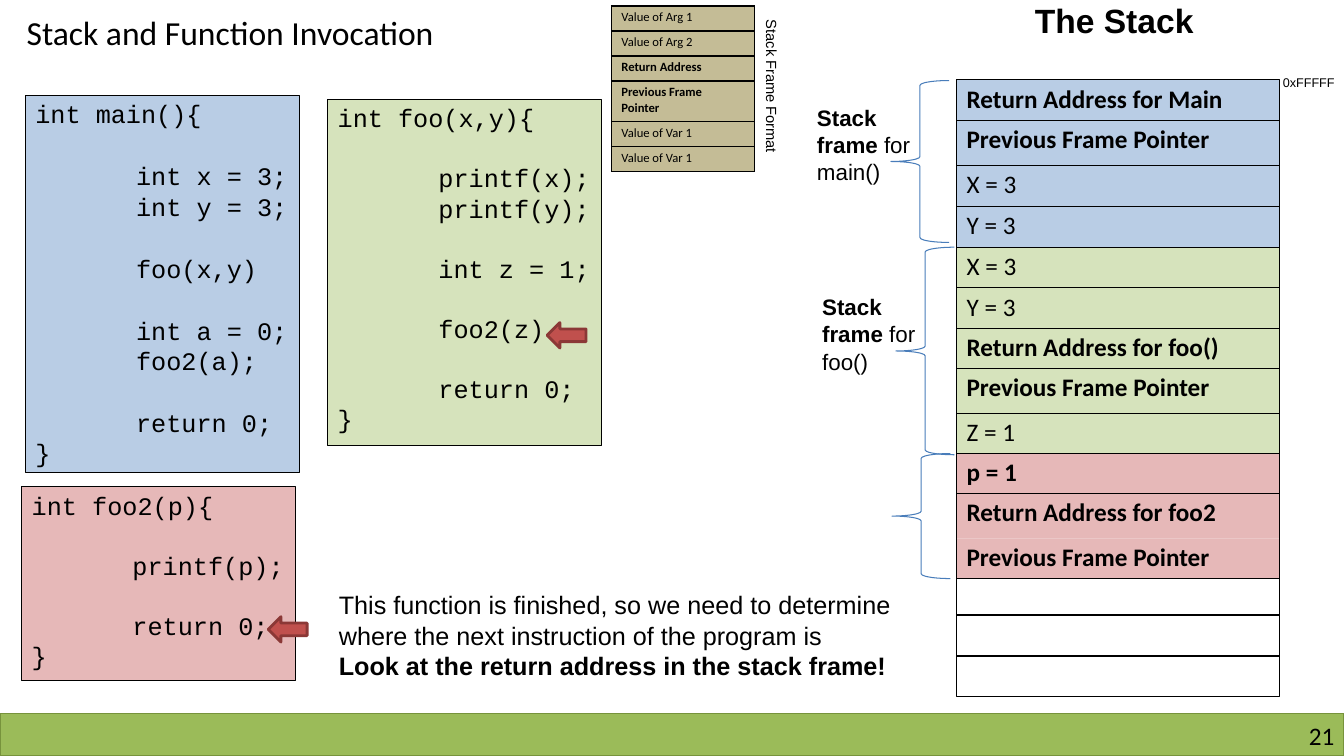
import pptx
import pptx.dml.color
import pptx.enum.shapes
import pptx.enum.text
import pptx.oxml
import pptx.oxml.ns
import pptx.util

Cm, Pt = pptx.util.Cm, pptx.util.Pt
SHAPES = pptx.enum.shapes.MSO_SHAPE
ALIGN = pptx.enum.text.PP_ALIGN
BLUE, GREEN, RED, TAN, BLACK = "B9CDE5", "D6E3BC", "E6B8B8", "C4BC96", "000000"

# Content: lengths in centimetres, sizes in points
TITLE = "Stack and Function Invocation"
# Blocks of code lines; the space between blocks is the gap
CODE_BOXES = [
    ((0.64, 2.41, 6.91, 9.5), BLUE, 22.9, "int main(){",
     [["int x = 3;", "int y = 3;"], ["foo(x,y)"], ["int a = 0;", "foo2(a);"], ["return 0;"]]),
    ((8.26, 2.51, 6.91, 8.73), GREEN, 21.5, "int foo(x,y){",
     [["printf(x);", "printf(y);"], ["int z = 1;"], ["foo2(z)"], ["return 0;"]]),
    ((0.55, 12.27, 6.91, 4.88), RED, 21.5, "int foo2(p){",
     [["printf(p);"], ["return 0;"]]),
]
ARROWS = [(13.79, 8.13), (6.76, 15.54)]
FRAME_FORMAT = [  # text, bold, row height
    ("Value of Arg 1", False, 0.63), ("Value of Arg 2", False, 0.63),
    ("Return Address", True, 0.63), ("Previous Frame Pointer", True, 1.02),
    ("Value of Var 1", False, 0.63), ("Value of Var 1", False, 0.63),
]
STACK_FRAMES = [  # colour, rows of (text, bold, height)
    (BLUE, [
        ("Return Address for Main", True, 1.02), ("Previous Frame Pointer", True, 1.14),
        ("X = 3", False, 1.03), ("Y = 3", False, 1.03)]),
    (GREEN, [
        ("X = 3", False, 1.02), ("Y = 3", False, 1.02),
        ("Return Address for foo()", True, 1.01), ("Previous Frame Pointer", True, 1.14),
        ("Z = 1", False, 1.0)]),
    (RED, [
        ("p = 1", True, 1.01), ("Return Address for foo2", True, 1.14),
        ("Previous Frame Pointer", True, 1.01)]),
    (None, [("", False, 0.92), ("", False, 1.03), ("", False, 1.03)]),
]
BRACES = [  # left, top, height, label
    (22.45, 2.03, 4.08, "main()"), (22.58, 6.23, 5.23, "foo()"), (22.48, 11.43, 3.15, None),
]
UNRULED_ROW = ("Return Address for foo2", True, 1.14)
STACK_LEFT, STACK_TOP, STACK_WIDTH = 24.11, 2.01, 8.14
CONCLUSION = [
    [("This function is finished, so we need to determine where the next "
      "instruction of the program is", False)],
    [("Look at the return address in the stack frame!", True)],
]


def rgb(color):
    return pptx.dml.color.RGBColor.from_string(color)


def add_shape(kind, box, fill=None, line=None, width=0.75):
    shape = slide.shapes.add_shape(kind, *map(Cm, box))
    shape.shadow.inherit = False
    if fill:
        shape.fill.solid()
        shape.fill.fore_color.rgb = rgb(fill)
    else:
        shape.fill.background()
    if line:
        shape.line.color.rgb = rgb(line)
        shape.line.width = Pt(width)
    else:
        shape.line.fill.background()
    return shape


def write(frame, paragraphs, font, size, left=0, top=0, pitch=None, align=ALIGN.LEFT):
    """Fill a text frame; each paragraph is a list of (text, bold) runs."""
    frame.word_wrap = True
    frame.auto_size = pptx.enum.text.MSO_AUTO_SIZE.NONE
    frame.vertical_anchor = pptx.enum.text.MSO_ANCHOR.TOP
    frame.margin_left, frame.margin_top = Cm(left), Cm(top)
    frame.margin_right = frame.margin_bottom = 0
    for index, runs in enumerate(paragraphs):
        paragraph = frame.paragraphs[0] if index == 0 else frame.add_paragraph()
        paragraph.alignment = align
        if pitch:
            paragraph.line_spacing = Pt(pitch)
        for text, bold in runs:
            run = paragraph.add_run()
            run.text = text
            run.font.name, run.font.size, run.font.bold = font, Pt(size), bold
            run.font.color.rgb = rgb(BLACK)
    return frame


def add_text(box, paragraphs, font, size, **options):
    frame = slide.shapes.add_textbox(*map(Cm, box)).text_frame
    return write(frame, paragraphs, font, size, **options)


def add_rule(y):
    rule = slide.shapes.add_connector(
        pptx.enum.shapes.MSO_CONNECTOR.STRAIGHT,
        Cm(STACK_LEFT), Cm(y), Cm(STACK_LEFT + STACK_WIDTH), Cm(y))
    rule.line.color.rgb = rgb(BLACK)
    rule.line.width = Pt(1)
    rule._element.spPr.append(pptx.oxml.parse_xml(
        f"<a:effectLst {pptx.oxml.ns.nsdecls('a')}/>"))


def border_cell(cell):
    for side in ("lnL", "lnR", "lnT", "lnB"):
        cell._tc.get_or_add_tcPr().append(pptx.oxml.parse_xml(
            f'<a:{side} {pptx.oxml.ns.nsdecls("a")} w="12700"><a:solidFill>'
            f'<a:srgbClr val="{BLACK}"/></a:solidFill></a:{side}>'))


presentation = pptx.Presentation()
presentation.slide_width, presentation.slide_height = Cm(33.87), Cm(19.05)
slide = presentation.slides.add_slide(presentation.slide_layouts[5])

# Footer bar, page number and title
add_shape(SHAPES.RECTANGLE, (0, 17.98, 33.87, 1.07), "9BBB59", "77933C", 1)
add_text((25.83, 18.16, 7.8, 0.8), [[("21", False)]], "Calibri", 18, align=ALIGN.RIGHT)
title = slide.shapes.title
title.left, title.top, title.width, title.height = map(Cm, (0.67, 0.31, 13.3, 1.25))
write(title.text_frame, [[(TITLE, False)]], "Calibri", 24)

# Code boxes
for box, color, gap, opening, blocks in CODE_BOXES:
    lines = [opening, *sum(blocks, []), "}"]
    shape = add_shape(SHAPES.RECTANGLE, box, color, BLACK)
    frame = write(shape.text_frame, [[(line, False)] for line in lines],
                  "Courier New", 18, left=0.25, top=0.08, pitch=21.5)
    for paragraph in frame.paragraphs[1:-1]:
        paragraph._p.get_or_add_pPr().set("marL", str(Cm(2.54)))
    position = 1
    for block in blocks:
        frame.paragraphs[position].space_before = Pt(gap)
        position += len(block)

# Arrows at the current instructions
for left, top in ARROWS:
    add_shape(SHAPES.LEFT_ARROW, (left, top, 0.98, 0.64), "C0504D", "8B3836", 2)

# Stack frame format
format_height = sum(height for _, _, height in FRAME_FORMAT)
table = slide.shapes.add_table(
    len(FRAME_FORMAT), 1, Cm(15.41), Cm(0.15), Cm(3.6), Cm(format_height)).table
table.first_row = table.horz_banding = False
for index, (text, bold, height) in enumerate(FRAME_FORMAT):
    table.rows[index].height = Cm(height)
    cell = table.cell(index, 0)
    border_cell(cell)
    cell.fill.solid()
    cell.fill.fore_color.rgb = rgb(TAN)
    cell.margin_left, cell.margin_right = Cm(0.25), Cm(0.3)
    cell.margin_top, cell.margin_bottom = Cm(0.1), 0
    cell.text_frame.text = text
    font = cell.text_frame.paragraphs[0].runs[0].font
    font.name, font.size, font.bold = "Calibri", Pt(9), bold
    font.color.rgb = rgb(BLACK)
format_label = add_text((19.2, 0.5, 0.48, 3.7), [[("Stack Frame Format", False)]], "Arial", 10.5)
format_label._txBody.bodyPr.set("vert", "vert")

# The stack: filled rows, ruled lines and an outline
add_text((25.83, 0, 5.6, 1.2), [[("The Stack", True)]], "Arial", 24, left=0.25)
add_text((32.33, 1.88, 1.5, 0.45), [[("0xFFFFF", False)]], "Arial", 9)
y = STACK_TOP
rules = []
for color, rows in STACK_FRAMES:
    for row in rows:
        text, bold, height = row
        if color:
            shape = add_shape(SHAPES.RECTANGLE, (STACK_LEFT, y, STACK_WIDTH, height), color)
            write(shape.text_frame, [[(text, bold)]], "Calibri", 18, left=0.25, top=0.08)
        y += height
        if row != UNRULED_ROW:
            rules.append(y)
for rule_y in rules[:-1]:
    add_rule(rule_y)
add_shape(SHAPES.RECTANGLE, (STACK_LEFT, STACK_TOP, STACK_WIDTH, y - STACK_TOP),
          line=BLACK, width=1)

# Braces and labels of the frames
for left, top, height, label in BRACES:
    add_shape(SHAPES.LEFT_BRACE, (left, top, 1.47, height), line="497DBA")
    if label:
        add_text((left - 1.86, top + height / 2 - 1.45, 2.45, 2.1),
                 [[("Stack frame ", True), (f"for {label}", False)]], "Arial", 16, pitch=19.3)

# Conclusion
add_text((8.54, 14.85, 14.65, 2.6), CONCLUSION, "Arial", 18, pitch=21.7)

presentation.save("out.pptx")
